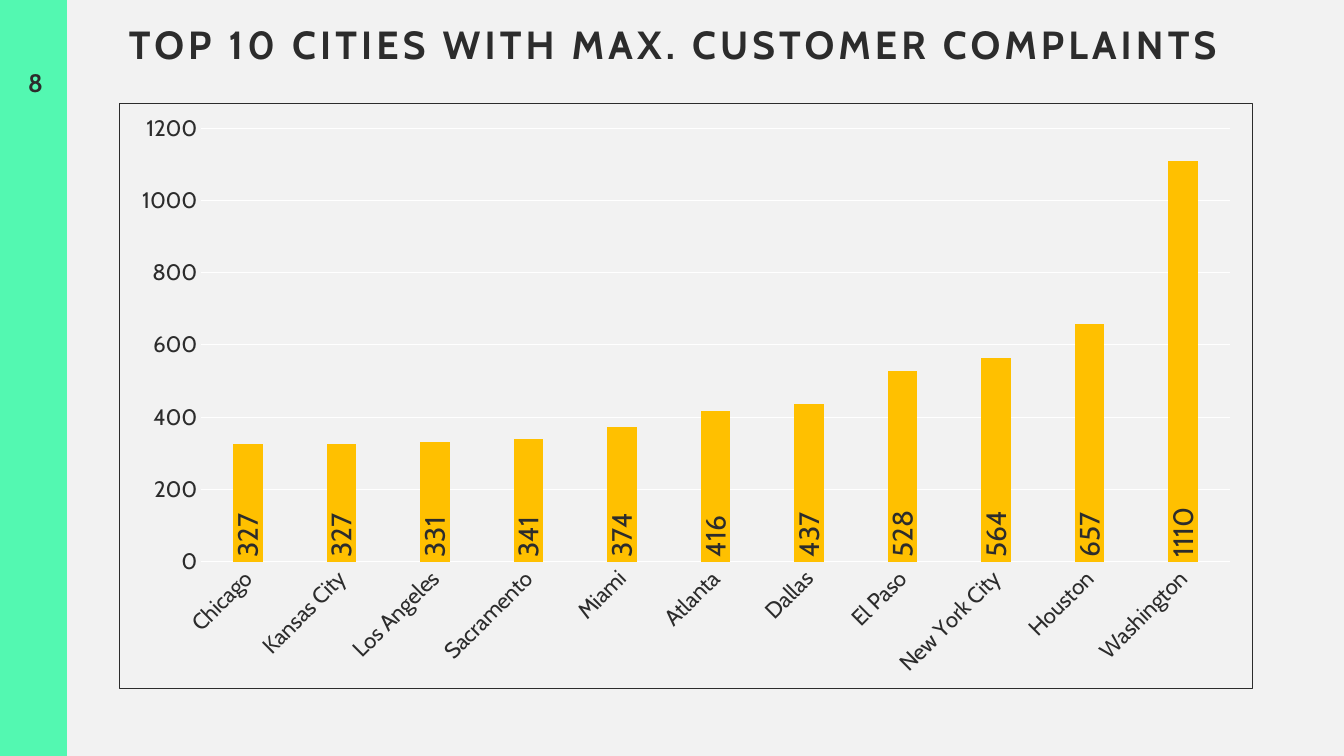
from lxml import etree
from pptx import Presentation
from pptx import util as u
from pptx.chart.data import CategoryChartData
from pptx.dml.color import RGBColor
from pptx.enum import chart as ch, shapes, text
from pptx.oxml import parse_xml
from pptx.oxml.ns import nsdecls, qn

PX = 914400 / 100.8


class Theme:
    font = "Cabin"
    ink = RGBColor.from_string("2C2C2C")
    back = RGBColor.from_string("F2F2F2")
    band = RGBColor.from_string("53F8B1")
    bar = RGBColor.from_string("FFC000")
    grid = RGBColor.from_string("FFFFFF")
    title, number, axis, label = 28, 18, 16, 20
    hairline = u.Pt(0.75)


def px(*lengths):
    return [round(n * PX) for n in lengths]


def add_text(s, words, box, size, align=text.PP_ALIGN.LEFT, leading=1.0, spacing=0):
    tf = s.shapes.add_textbox(*px(*box)).text_frame
    tf.word_wrap = True
    p = tf.paragraphs[0]
    p.alignment, p.line_spacing = align, leading
    r = p.add_run()
    r.text = words
    r.font.name, r.font.size, r.font.bold = Theme.font, u.Pt(size), True
    r.font.color.rgb = Theme.ink
    r._r.get_or_add_rPr().set("spc", str(spacing * 100))


prs = Presentation()
prs.slide_width, prs.slide_height = px(1344, 756)
s = prs.slides.add_slide(prs.slide_layouts[6])
s.background.fill.solid()
s.background.fill.fore_color.rgb = Theme.back

# Side band
sp = s.shapes.add_shape(shapes.MSO_SHAPE.RECTANGLE, *px(0, 0, 67, 756))
sp.shadow.inherit = False
sp.fill.solid()
sp.fill.fore_color.rgb = Theme.band
sp.line.fill.background()

# Title and page number
add_text(s, "TOP 10 CITIES WITH MAX. CUSTOMER COMPLAINTS", (119, 24, 1134, 118),
         Theme.title, leading=0.8, spacing=3)
add_text(s, "8", (2, 62, 67, 40), Theme.number, align=text.PP_ALIGN.CENTER)

# Complaints by city
complaints = {
    "Chicago": 327, "Kansas City": 327, "Los Angeles": 331, "Sacramento": 341,
    "Miami": 374, "Atlanta": 416, "Dallas": 437, "El Paso": 528,
    "New York City": 564, "Houston": 657, "Washington": 1110,
}
data = CategoryChartData()
data.categories = list(complaints)
data.add_series("Series 1", list(complaints.values()))
chart = s.shapes.add_chart(ch.XL_CHART_TYPE.COLUMN_CLUSTERED,
                           *px(119, 103, 1134, 586), data).chart
chart.has_legend = chart.has_title = False
chart.font.name, chart.font.size = Theme.font, u.Pt(Theme.axis)
chart.font.color.rgb = Theme.ink

# Chart border
border = parse_xml(
    f'<c:spPr {nsdecls("c", "a")}><a:noFill/><a:ln w="{Theme.hairline}"><a:solidFill>'
    f'<a:srgbClr val="{Theme.ink}"/></a:solidFill></a:ln></c:spPr>')
chart._chartSpace.find(qn("c:chart")).addnext(border)

# Axes
cities, counts = chart.category_axis, chart.value_axis
for axis in (cities, counts):
    axis.major_tick_mark = axis.minor_tick_mark = ch.XL_TICK_MARK.NONE
    axis.tick_labels.font.size = u.Pt(Theme.axis)
    axis.tick_labels.font.name = Theme.font
    axis.tick_labels.font.color.rgb = Theme.ink
counts.minimum_scale, counts.maximum_scale, counts.major_unit = 0, 1200, 200
counts.format.line.fill.background()
counts.has_major_gridlines = True
for line in (cities.format.line, counts.major_gridlines.format.line):
    line.color.rgb, line.width = Theme.grid, Theme.hairline

# Bars and their values
plot = chart.plots[0]
plot.gap_width, plot.overlap, plot.vary_by_categories = 219, -27, False
bars = plot.series[0]
bars.format.fill.solid()
bars.format.fill.fore_color.rgb = Theme.bar
labels = bars.data_labels
labels.show_value = True
labels.position = ch.XL_LABEL_POSITION.INSIDE_BASE
labels.font.name, labels.font.size = Theme.font, u.Pt(Theme.label)
labels.font.color.rgb = Theme.ink

# Slanted city names, upright values
for owner, degrees in ((cities._element, -45), (labels._element, -90)):
    body = owner.find(qn("c:txPr")).find(qn("a:bodyPr"))
    body.set("rot", str(degrees * 60000))
    body.set("vert", "horz")

prs.save("out.pptx")
